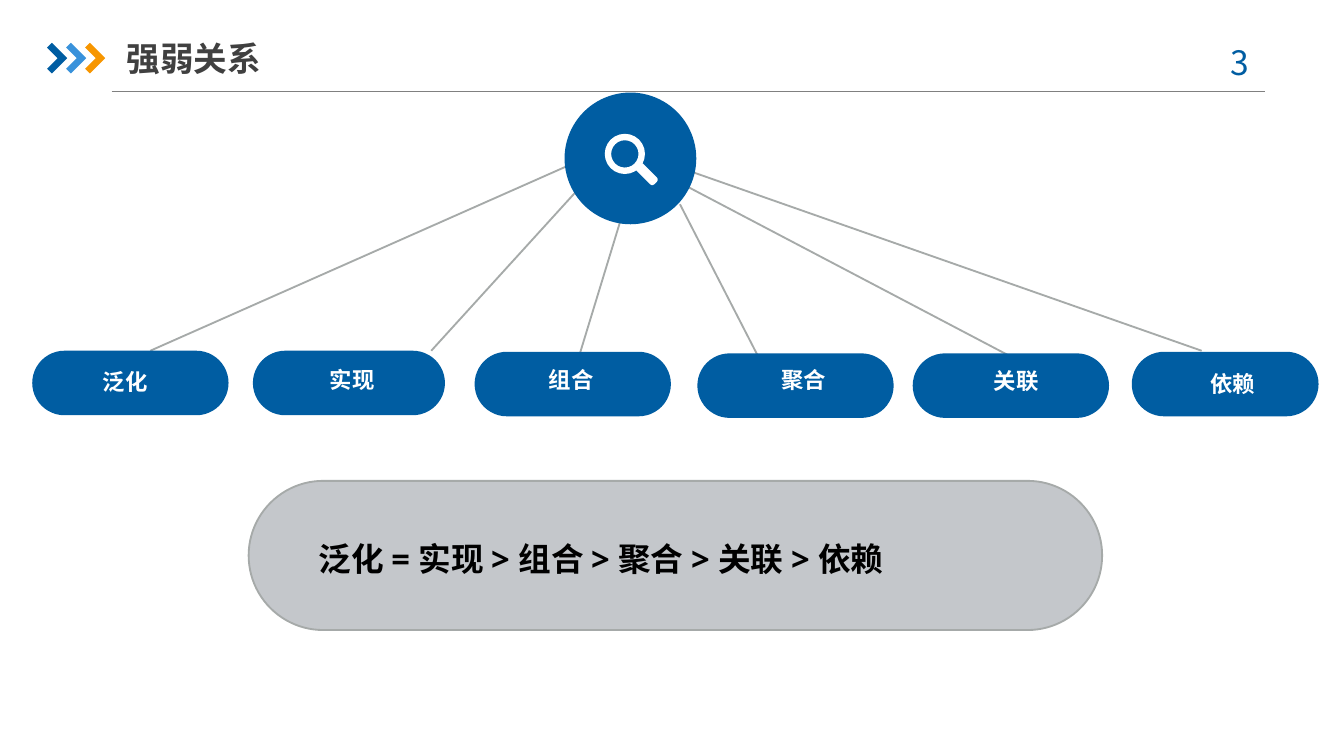
"""Build the slide ranking class relationships from strong to weak."""
from typing import NamedTuple

from pptx import Presentation
from pptx.dml.color import RGBColor
from pptx.enum.shapes import MSO_CONNECTOR, MSO_SHAPE
from pptx.enum.text import MSO_ANCHOR, MSO_AUTO_SIZE, PP_ALIGN
from pptx.oxml.xmlchemy import OxmlElement
from pptx.util import Cm, Pt

CJK = "Noto Sans CJK SC"
BLUE, SKY, ORANGE = "005DA2", "3992DB", "F79600"
WHITE, BLACK, DARK = "FFFFFF", "000000", "404040"
RULE, EDGE, PANEL = "808080", "A6AAA9", "C4C7CB"
CHEVRON = [(0, 0.09), (0.09, 0), (0.38, 0.29), (0.09, 0.58), (0, 0.49), (0.2, 0.29)]
CHEVRON_STEP = 0.36
PILL_HEIGHT = 1.22
LABEL_WIDTH, LABEL_HEIGHT = 3.91, 0.86


class Box(NamedTuple):
    left: float
    top: float
    width: float
    height: float

    def lengths(self) -> list:
        return [Cm(v) for v in self]


class Relation(NamedTuple):
    name: str
    left: float
    top: float
    width: float
    label_left: float
    label_top: float
    spoke: tuple


RELATIONS = [
    Relation("泛化", 0.61, 6.63, 3.71, 0.41, 6.81, (10.92, 3.05, 2.84, 6.63)),
    Relation("实现", 4.78, 6.63, 3.63, 4.70, 6.78, (10.97, 3.53, 8.15, 6.63)),
    Relation("组合", 8.97, 6.65, 3.71, 8.84, 6.78, (11.76, 4.06, 10.92, 6.81)),
    Relation("聚合", 13.18, 6.68, 3.71, 13.23, 6.78, (12.85, 3.86, 14.35, 6.78)),
    Relation("关联", 17.25, 6.68, 3.71, 17.25, 6.80, (12.9, 3.48, 19.18, 6.78)),
    Relation("依赖", 21.39, 6.65, 3.53, 21.34, 6.85, (13.08, 3.25, 22.71, 6.63)),
]


def rgb(value: str) -> RGBColor:
    return RGBColor.from_string(value)


def paint(sp, fill: str, line: str = ""):
    sp.shadow.inherit = False
    sp.fill.solid()
    sp.fill.fore_color.rgb = rgb(fill)
    if line:
        sp.line.color.rgb = rgb(line)
        sp.line.width = Pt(1)
    else:
        sp.line.fill.background()
    return sp


def add_shape(s, kind: MSO_SHAPE, box: Box, fill: str, line: str = "", adj: float | None = None):
    sp = paint(s.shapes.add_shape(kind, *box.lengths()), fill, line)
    if adj is not None:
        sp.adjustments[0] = adj
    return sp


def add_line(s, ends: tuple, color: str, width: float) -> None:
    line = s.shapes.add_connector(MSO_CONNECTOR.STRAIGHT, *[Cm(v) for v in ends])
    line.line.color.rgb = rgb(color)
    line.line.width = Pt(width)
    line._element.spPr.append(OxmlElement("a:effectLst"))


def add_chevron(s, left: float, top: float, fill: str) -> None:
    points = [(Cm(left + x), Cm(top + y)) for x, y in CHEVRON]
    builder = s.shapes.build_freeform(*points[0], scale=1.0)
    builder.add_line_segments(points[1:], close=True)
    paint(builder.convert_to_shape(), fill)


def write(sp, text: str, size: float, color: str, bold: bool = True,
          align: PP_ALIGN = PP_ALIGN.CENTER, spacing: float = 1.0, font: str = CJK) -> None:
    tf = sp.text_frame
    tf.text = text
    tf.word_wrap = True
    tf.auto_size = MSO_AUTO_SIZE.NONE
    tf.vertical_anchor = MSO_ANCHOR.MIDDLE
    tf.margin_left = tf.margin_right = tf.margin_top = tf.margin_bottom = 0
    p = tf.paragraphs[0]
    p.alignment = align
    p.line_spacing = spacing
    p.space_before = Pt(0)
    p.font.name = font
    east_asian = OxmlElement("a:ea")
    east_asian.set("typeface", CJK)
    p.font._rPr.append(east_asian)
    p.font.size = Pt(size)
    p.font.bold = bold
    p.font.color.rgb = rgb(color)


def add_text(s, box: Box, text: str, size: float, color: str, **style) -> None:
    write(s.shapes.add_textbox(*box.lengths()), text, size, color, **style)


def add_header(s) -> None:
    add_line(s, (2.11, 1.73, 23.9, 1.73), RULE, 0.75)
    for i, color in enumerate((BLUE, SKY, ORANGE)):
        add_chevron(s, 0.89 + i * CHEVRON_STEP, 0.81, color)
    title = s.shapes.title
    title.left, title.top, title.width, title.height = Box(2.39, 0.56, 5.92, 1.07).lengths()
    write(title, "强弱关系", 18, DARK, align=PP_ALIGN.LEFT)
    add_text(s, Box(22.5, 0.66, 1.85, 1.02), "3", 18, BLUE, bold=False)


def add_hub(s) -> None:
    add_shape(s, MSO_SHAPE.OVAL, Box(10.67, 1.75, 2.49, 2.49), BLUE)
    add_shape(s, MSO_SHAPE.DONUT, Box(11.43, 2.53, 0.76, 0.76), WHITE, adj=0.16)
    handle = add_shape(s, MSO_SHAPE.ROUNDED_RECTANGLE, Box(11.98, 3.2, 0.48, 0.18), WHITE, adj=0.3)
    handle.rotation = 45


def add_relation(s, rel: Relation) -> None:
    pill = Box(rel.left, rel.top, rel.width, PILL_HEIGHT)
    add_shape(s, MSO_SHAPE.ROUNDED_RECTANGLE, pill, BLUE, adj=0.5)
    label = Box(rel.label_left, rel.label_top, LABEL_WIDTH, LABEL_HEIGHT)
    add_text(s, label, rel.name, 12, WHITE, spacing=0.9)


def main() -> None:
    prs = Presentation()
    prs.slide_width, prs.slide_height = Cm(25.4), Cm(14.29)
    s = prs.slides.add_slide(prs.slide_layouts[5])
    add_header(s)
    for rel in RELATIONS:
        add_line(s, rel.spoke, EDGE, 1)
    add_hub(s)
    for rel in RELATIONS:
        add_relation(s, rel)
    add_shape(s, MSO_SHAPE.ROUNDED_RECTANGLE, Box(4.7, 9.09, 16.13, 2.82), PANEL, EDGE, 0.5)
    add_text(s, Box(6.02, 9.7, 13.34, 1.57), "泛化 = 实现 > 组合 > 聚合 > 关联 > 依赖 ", 17.5, BLACK,
             align=PP_ALIGN.JUSTIFY, spacing=1.2, font="Open Sans")
    prs.save("out.pptx")


if __name__ == "__main__":
    main()
